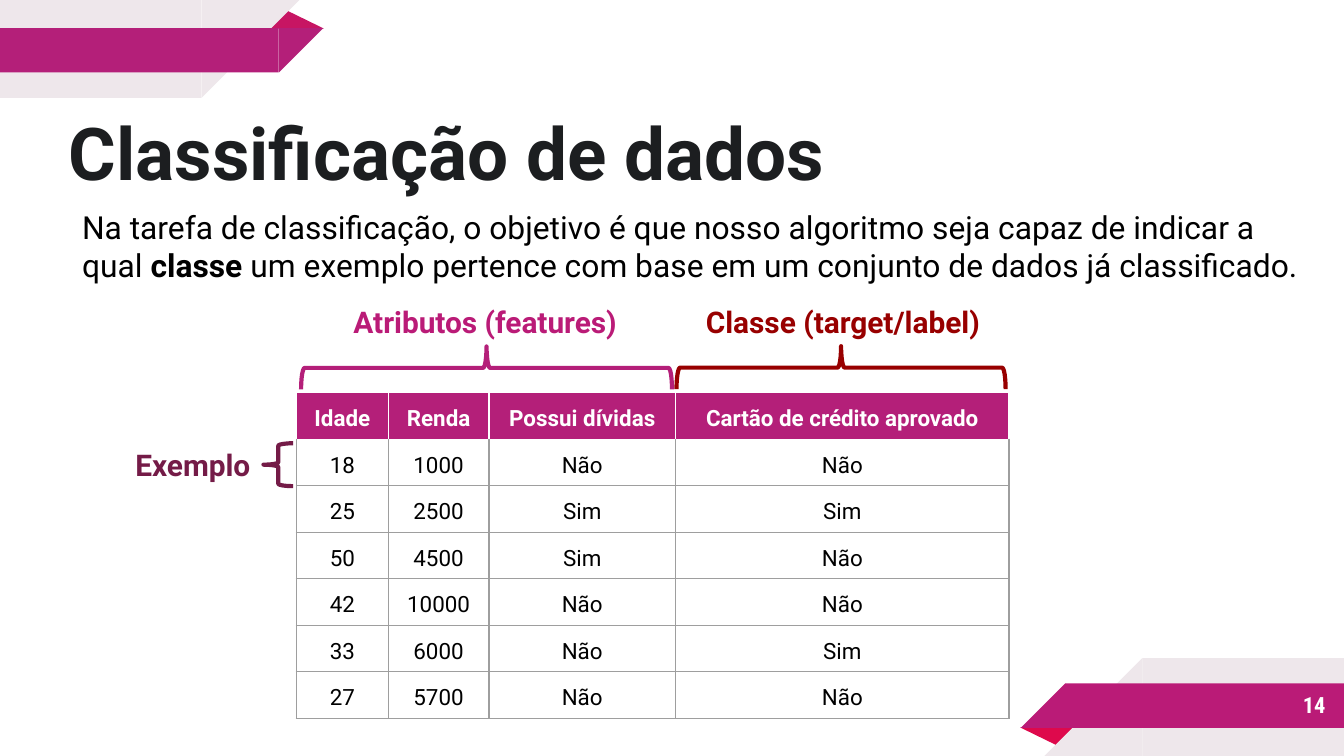
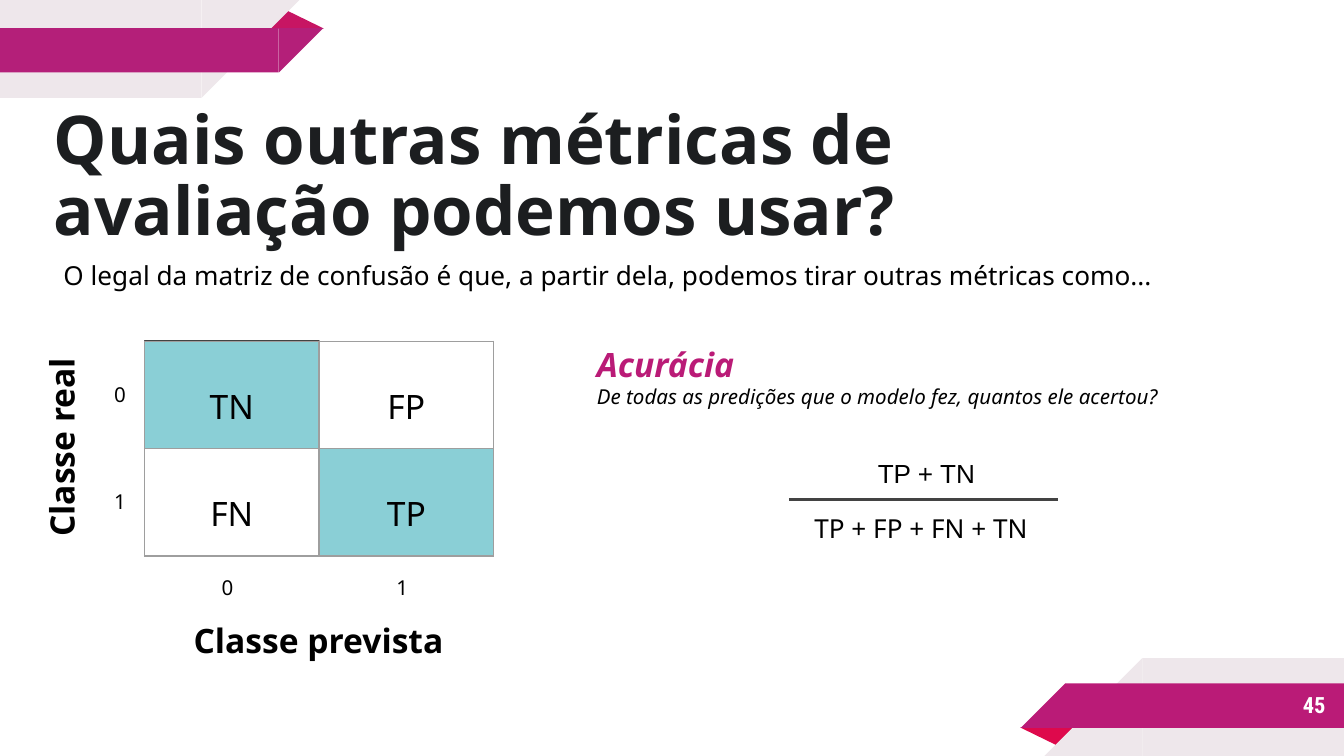
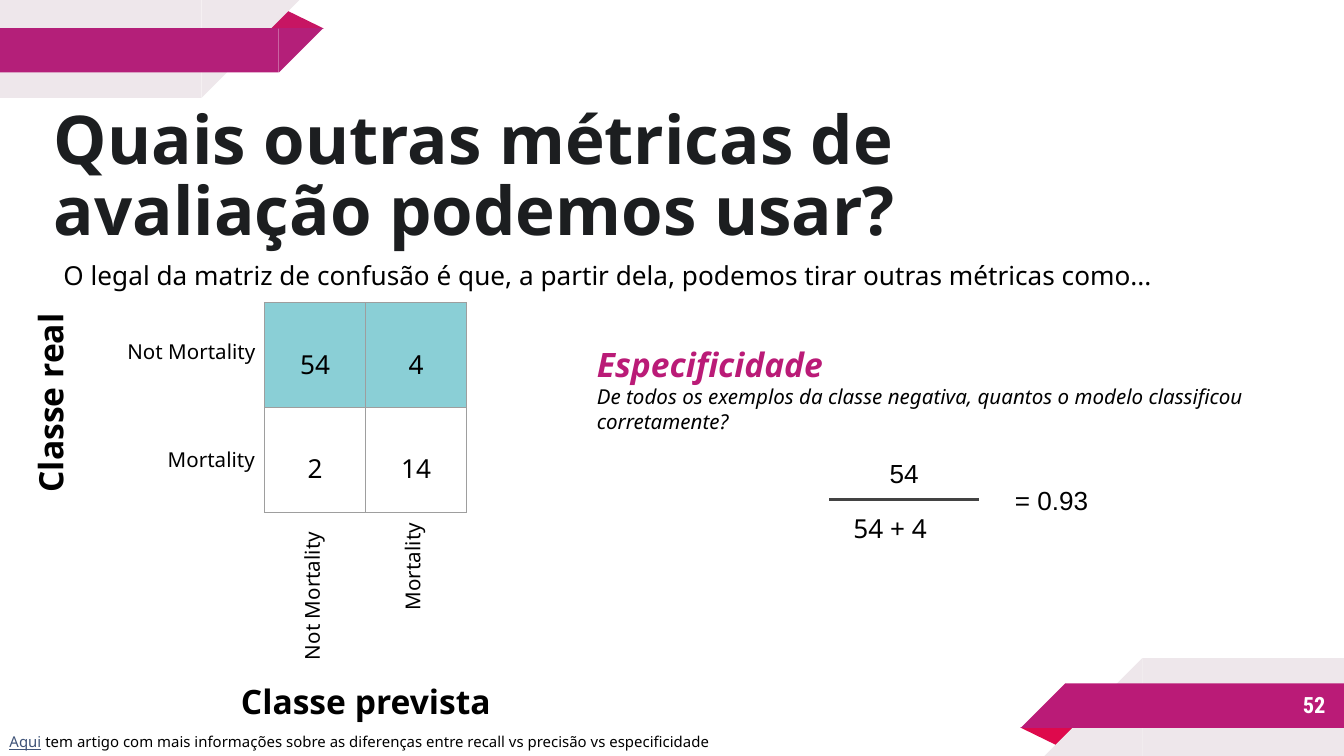
"""Build three slides on data classification and evaluation metrics."""
from lxml import etree
from pptx import Presentation
from pptx.dml.color import RGBColor
from pptx.enum.shapes import MSO_CONNECTOR, MSO_SHAPE
from pptx.enum.text import MSO_ANCHOR, MSO_AUTO_SIZE, PP_ALIGN
from pptx.oxml.ns import qn
from pptx.util import Cm, Pt

LEFT, CENTER, RIGHT = PP_ALIGN.LEFT, PP_ALIGN.CENTER, PP_ALIGN.RIGHT
TOP, MIDDLE, BOTTOM = MSO_ANCHOR.TOP, MSO_ANCHOR.MIDDLE, MSO_ANCHOR.BOTTOM
RECTANGLE, BRACE = MSO_SHAPE.RECTANGLE, MSO_SHAPE.LEFT_BRACE
TRIANGLE, CORNER = MSO_SHAPE.ISOSCELES_TRIANGLE, MSO_SHAPE.RIGHT_TRIANGLE
STRAIGHT, NO_FIT = MSO_CONNECTOR.STRAIGHT, MSO_AUTO_SIZE.NONE

BLACK = RGBColor(0x00, 0x00, 0x00)
WHITE = RGBColor(0xFF, 0xFF, 0xFF)
INK = RGBColor(0x1C, 0x1E, 0x20)
SLATE = RGBColor(0x43, 0x43, 0x43)
GRID = RGBColor(0x9E, 0x9E, 0x9E)
PALE = RGBColor(0xEE, 0xE7, 0xEB)
MAGENTA = RGBColor(0xB4, 0x1F, 0x79)
PINK = RGBColor(0xBA, 0x1B, 0x77)
FOLD_TOP = RGBColor(0xC7, 0x15, 0x63)
FOLD_BOTTOM = RGBColor(0xDE, 0x09, 0x4C)
TEAL = RGBColor(0x00, 0x97, 0xA7)
RED = RGBColor(0x98, 0x00, 0x00)
PLUM = RGBColor(0x74, 0x1B, 0x47)
LINK = RGBColor(0x3F, 0x53, 0x78)

ROBOTO, CONDENSED, NOTO, ARIAL = "Roboto", "Roboto Condensed", "Noto Sans", "Arial"
WIDTH, HEIGHT = 25.4, 14.29
WIDE_INSET, INSET = 0.25, 0.18

BAND_PARTS = [
    (TRIANGLE, (5.03, 0.18, 1.09, 0.36), FOLD_TOP, FOLD_BOTTOM),
    (RECTANGLE, (0, 0, 3.81, 1.85), PALE, PALE),
    (CORNER, (3.81, 0, 1.85, 1.85), PALE, PALE),
    (RECTANGLE, (0, 0.53, 5.27, 0.84), MAGENTA, PINK),
    (CORNER, (5.27, 0.53, 0.84, 0.84), MAGENTA, PINK),
]

DATA_TITLE = "Classificação de dados"
DATA_INTRO = [
    ("Na tarefa de classificação, o objetivo é que nosso algoritmo seja capaz de indicar a qual ", {}),
    ("classe ", {"bold": True}),
    ("um exemplo pertence com base em um conjunto de dados já classificado.", {}),
]
DATA_ROWS = [
    ("Idade", "Renda", "Possui dívidas", "Cartão de crédito aprovado"),
    ("18", "1000", "Não", "Não"),
    ("25", "2500", "Sim", "Sim"),
    ("50", "4500", "Sim", "Não"),
    ("42", "10000", "Não", "Não"),
    ("33", "6000", "Não", "Sim"),
    ("27", "5700", "Não", "Não"),
]
DATA_BRACES = [
    ("Classe (target/label)", (12.78, 5.49, 6.3, 1.14), CENTER, RED, (15.49, 3.84, 0.81, 6.22), RED, 90),
    ("Atributos (features)", (5.59, 5.49, 7.16, 1.14), CENTER, PINK, (8.79, 3.45, 0.81, 7.01), MAGENTA, 90),
    ("Exemplo", (2.31, 8.2, 2.97, 1.14), LEFT, PLUM, (4.98, 8.38, 0.56, 0.81), PLUM, 0),
]

METRIC_TITLE = "Quais outras métricas de avaliação podemos usar?"
METRIC_INTRO = "O legal da matriz de confusão é que, a partir dela, podemos tirar outras métricas como..."
AXIS = {"size": 18, "bold": True, "align": CENTER}
TICK = {"size": 11, "anchor": MIDDLE}
NAME = {"size": 11, "anchor": BOTTOM}
SUM = {"size": 14}
METRICS = [
    {
        "number": "45",
        "heading": "Acurácia",
        "question": "De todas as predições que o modelo fez, quantos ele acertou?",
        "bar": (14.91, 19.99),
        "labels": [
            ("TP + TN", (16.41, 8.46, 2.54, 1.02), {**SUM, "font": ARIAL}),
            ("TP + FP + FN + TN", (15.21, 9.5, 4.9, 1.37), SUM),
            ("Classe prevista", (2.72, 11.53, 6.6, 1.37), AXIS),
            ("Classe real", (-0.74, 7.77, 4.04, 1.37), {**AXIS, "rotation": 270}),
            *[(str(i), (1.98, 6.43 + 2.03 * i, 0.74, 2.03), TICK) for i in range(2)],
            *[(str(i), (4.01 + 3.3 * i, 10.49, 0.74, 1.22), TICK) for i in range(2)],
        ],
        "matrix": [("TN", "FP"), ("FN", "TP")],
        "place": (2.73, 6.45),
        "cell": (3.3, 2.03),
        "size": 18,
        "tiles": [(0, 0), (1, 1)],
        "fills": [None, None],
    },
    {
        "number": "52",
        "heading": "Especificidade",
        "question": "De todos os exemplos da classe negativa, quantos o modelo classificou corretamente?",
        "bar": (15.67, 18.51),
        "labels": [
            ("54", (15.67, 8.46, 2.84, 1.02), {**SUM, "font": ARIAL, "align": CENTER}),
            ("54 + 4", (15.95, 9.5, 4.19, 1.37), SUM),
            ("= 0.93", (19, 8.26, 3.23, 2.39), {**SUM, "font": ARIAL, "anchor": MIDDLE}),
            ("Classe prevista", (4.17, 12.7, 5.49, 1.37), AXIS),
            ("Classe real", (-0.91, 6.93, 3.96, 1.37), {**AXIS, "rotation": 270}),
            ("Mortality", (1.7, 8.38, 3.3, 0.71), {**NAME, "align": RIGHT}),
            ("Not Mortality", (1.78, 6.35, 3.23, 0.71), {**NAME, "align": RIGHT}),
            ("Not Mortality", (4.5, 10.85, 2.9, 0.71), {**NAME, "rotation": 270}),
            ("Mortality", (6.25, 10.95, 3.2, 0.71), {**NAME, "align": RIGHT, "rotation": 270}),
            ([("Aqui", {"underline": True, "color": LINK}),
              (" tem artigo com mais informações sobre as diferenças entre recall vs precisão vs especificidade", {})],
             (0, 13.67, 16.26, 0.43), {"size": 8}),
        ],
        "matrix": [("54", "4"), ("2", "14")],
        "place": (5.0, 5.72),
        "cell": (1.91, 1.98),
        "size": 14,
        "tiles": [],
        "fills": [TEAL, WHITE],
    },
]


def lengths(box):
    return [Cm(value) for value in box]


def write(paragraph, text, size, font=NOTO, color=BLACK, bold=False, italic=False, align=LEFT, spacing=None):
    paragraph.alignment = align
    paragraph.space_before = Pt(0)
    if spacing:
        paragraph.line_spacing = spacing
    style = paragraph.font
    style.name, style.size, style.bold, style.italic = font, Pt(size), bold, italic
    style.color.rgb = color
    for words, changes in [(text, {})] if isinstance(text, str) else text:
        span = paragraph.add_run()
        span.text = words
        if "color" in changes:
            span.font.color.rgb = changes["color"]
        if "bold" in changes:
            span.font.bold = changes["bold"]
        if "underline" in changes:
            span.font.underline = changes["underline"]


def prepare(frame, inset, anchor):
    frame.word_wrap, frame.auto_size, frame.vertical_anchor = True, NO_FIT, anchor
    frame.margin_left = frame.margin_top = frame.margin_right = frame.margin_bottom = Cm(inset)
    return frame.paragraphs[0]


def add_label(page, text, box, inset=INSET, anchor=TOP, rotation=0, **style):
    label = page.shapes.add_textbox(*lengths(box))
    label.rotation = rotation
    write(prepare(label.text_frame, inset, anchor), text, **style)
    return label


def fill_placeholder(holder, text, box, inset, anchor, **style):
    holder.left, holder.top, holder.width, holder.height = lengths(box)
    paragraph = prepare(holder.text_frame, inset, anchor)
    properties = paragraph._p.get_or_add_pPr()
    properties.set("marL", "0")
    properties.set("indent", "0")
    etree.SubElement(properties, qn("a:buNone"))
    write(paragraph, text, **style)


def add_figure(page, kind, box, fill=None, line=None, weight=0.75, rotation=0):
    figure = page.shapes.add_shape(kind, *lengths(box))
    figure.shadow.inherit = False
    figure.rotation = rotation
    if fill is None:
        figure.fill.background()
    else:
        figure.fill.solid()
        figure.fill.fore_color.rgb = fill
    if line is None:
        figure.line.fill.background()
    else:
        figure.line.color.rgb = line
        figure.line.width = Pt(weight)
    return figure


def make_translucent(element):
    color = next(element.iter(qn("a:srgbClr")))
    etree.SubElement(color, qn("a:alpha"), val="46000")


def set_borders(cell, color, top_color):
    properties = cell._tc.get_or_add_tcPr()
    sides = [("a:lnL", color), ("a:lnR", color), ("a:lnT", top_color), ("a:lnB", color)]
    for position, (side, shade) in enumerate(sides):
        border = etree.Element(qn(side), w=str(Pt(0.75)))
        solid = etree.SubElement(border, qn("a:solidFill"))
        etree.SubElement(solid, qn("a:srgbClr"), val=str(shade))
        properties.insert(position, border)


def add_grid(page, rows, place, widths, row_height, fills, borders, margins, anchor, styles):
    box = (*place, sum(widths), row_height * len(rows))
    table = page.shapes.add_table(len(rows), len(widths), *lengths(box)).table
    table.first_row = table.horz_banding = False
    for column, width in zip(table.columns, widths):
        column.width = Cm(width)
    for i, row in enumerate(rows):
        table.rows[i].height = Cm(row_height)
        for j, text in enumerate(row):
            cell = table.cell(i, j)
            cell.margin_left, cell.margin_top, cell.margin_right, cell.margin_bottom = lengths(margins)
            cell.vertical_anchor = anchor
            write(cell.text_frame.paragraphs[0], text, align=CENTER, **styles[i])
            if fills[i] is None:
                cell.fill.background()
            else:
                cell.fill.solid()
                cell.fill.fore_color.rgb = fills[i]
            if fills[i] == TEAL:
                make_translucent(cell._tc.tcPr)
            set_borders(cell, borders[i], borders[max(i - 1, 0)])


def add_bands(deck, page):
    parts = []
    for kind, box, top_color, bottom_color in BAND_PARTS:
        left, top, width, height = box
        opposite = (WIDTH - left - width, HEIGHT - top - height, width, height)
        for place, color, turn in [(box, top_color, 180), (opposite, bottom_color, 0)]:
            folded = kind == TRIANGLE
            part = add_figure(page, kind, place, color, rotation=180 - turn if folded else turn)
            if folded:
                part.adjustments[0] = 0.324
            else:
                part.element.spPr.find(qn("a:xfrm")).set("flipH", "1")
            parts.append(part)
    for number, part in enumerate(parts, 20):
        part.element.nvSpPr.cNvPr.set("id", str(number))
        deck.slide_master.shapes.element.append(part.element)


def add_page(deck, number):
    page = deck.slides.add_slide(deck.slide_layouts[1])
    add_label(page, number, (21.16, 12.88, 4.14, 0.89), WIDE_INSET, MIDDLE,
              size=12, font=CONDENSED, color=WHITE, bold=True, align=RIGHT)
    return page


def build_data_page(deck):
    page = add_page(deck, "14")
    add_bands(deck, page)
    fill_placeholder(page.shapes.title, DATA_TITLE, (1.3, 1.88, 20.07, 1.8), 0, BOTTOM,
                     size=39, font=ROBOTO, color=INK, bold=True)
    fill_placeholder(page.placeholders[1], DATA_INTRO, (1.3, 3.68, 23.52, 2.72), WIDE_INSET, TOP,
                     size=17, font=ROBOTO)
    examples = len(DATA_ROWS) - 1
    header = {"size": 12, "font": ROBOTO, "color": WHITE, "bold": True}
    add_grid(page, DATA_ROWS, (5.6, 7.42), (1.74, 1.9, 3.53, 6.3), 0.88,
             [MAGENTA] + [None] * examples, [WHITE] + [GRID] * examples,
             (WIDE_INSET, WIDE_INSET, WIDE_INSET, 0), TOP,
             [header] + [{"size": 12, "font": ROBOTO}] * examples)
    for text, box, align, color, brace_box, brace_color, rotation in DATA_BRACES:
        add_label(page, text, box, WIDE_INSET, size=16, font=ROBOTO, color=color, bold=True, align=align)
        add_figure(page, BRACE, brace_box, line=brace_color, weight=2.25, rotation=rotation)


def build_metric_page(deck, metric):
    page = add_page(deck, metric["number"])
    left, top = metric["place"]
    width, height = metric["cell"]
    for row, column in metric["tiles"]:
        tile = add_figure(page, RECTANGLE, (left + column * width, top + row * height, width, height), TEAL, SLATE)
        make_translucent(tile.element.spPr)
    fill_placeholder(page.shapes.title, METRIC_TITLE, (1.02, 1.27, 21.54, 3.45), 0, BOTTOM,
                     size=36, color=INK, bold=True, spacing=0.88)
    fill_placeholder(page.placeholders[1], METRIC_INTRO, (1.02, 4.72, 23.77, 1.6), INSET, TOP, size=14)
    add_grid(page, metric["matrix"], metric["place"], (width, width), height, metric["fills"],
             [GRID, GRID], (INSET,) * 4, MIDDLE, [{"size": metric["size"], "spacing": 1.5}] * 2)
    heading = add_label(page, metric["heading"], (11.1, 6.32, 13.34, 2.44),
                        size=18, color=PINK, bold=True, italic=True)
    write(heading.text_frame.add_paragraph(), metric["question"], size=11, italic=True)
    start, end = metric["bar"]
    bar = page.shapes.add_connector(STRAIGHT, *lengths((start, 9.44, end, 9.44)))
    bar.line.color.rgb = SLATE
    bar.line.width = Pt(1.5)
    etree.SubElement(bar.element.spPr, qn("a:effectLst"))
    for text, box, style in metric["labels"]:
        add_label(page, text, box, **style)


def main():
    deck = Presentation()
    deck.slide_width, deck.slide_height = lengths((WIDTH, HEIGHT))
    build_data_page(deck)
    for metric in METRICS:
        build_metric_page(deck, metric)
    deck.save("out.pptx")


if __name__ == "__main__":
    main()
